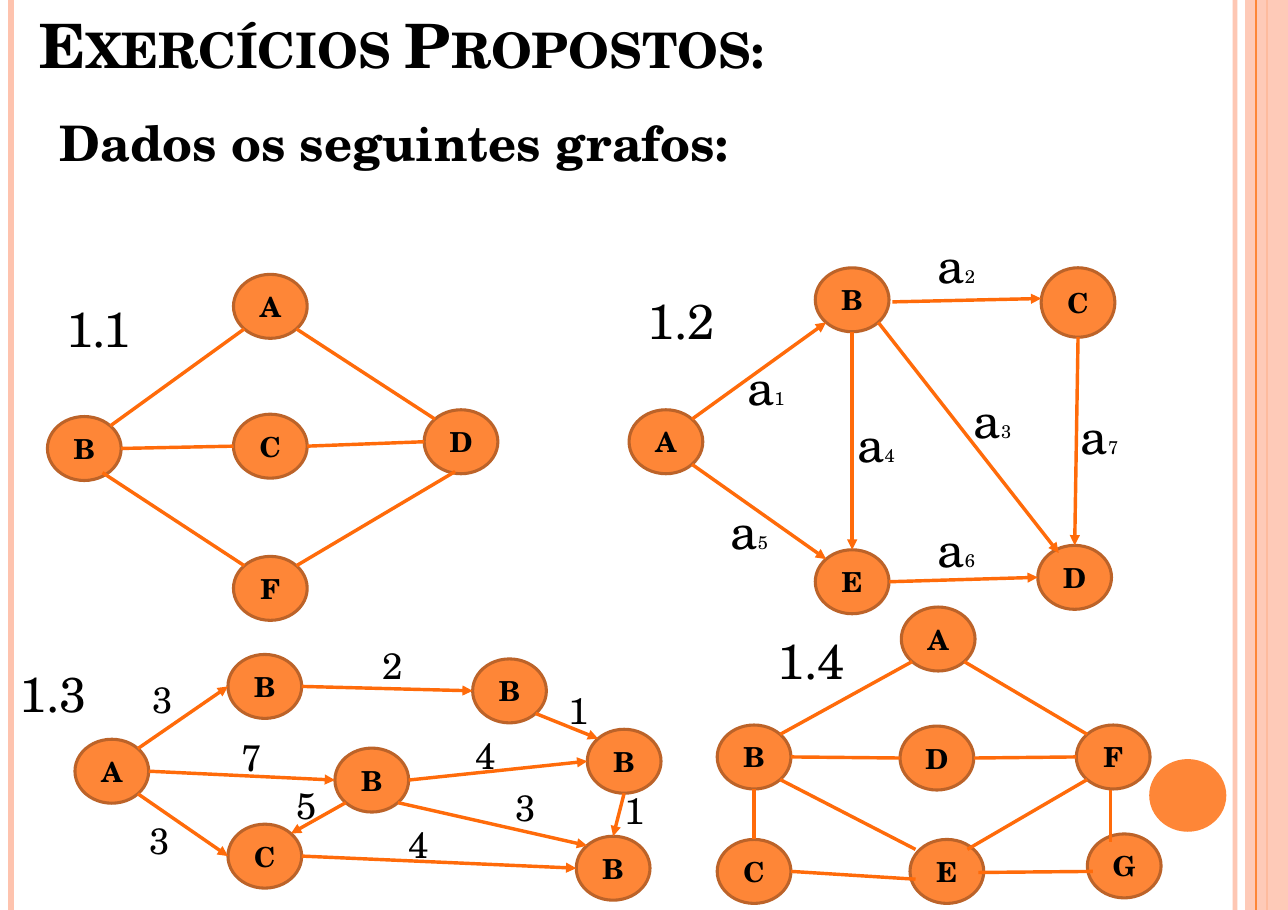
from math import sqrt

from lxml.etree import SubElement
from pptx import Presentation
from pptx.dml.color import RGBColor
from pptx.enum.shapes import MSO_CONNECTOR, MSO_SHAPE
from pptx.enum.text import MSO_ANCHOR, MSO_AUTO_SIZE, PP_ALIGN
from pptx.oxml.ns import qn
from pptx.util import Pt

FONT = "TeX Gyre Schola"
ORANGE, PEACH, RIM, EDGE, BLACK = "FE8637", "FEC3AE", "BC6329", "FF6B0A", "000000"
PAGE_WIDTH, PAGE_HEIGHT = 841.7, 594.7
NODE_WIDTH, NODE_HEIGHT = 48.2, 41.8
DIAGONAL = sqrt(0.5)
SIDES = {
    "n": (0, -1), "s": (0, 1), "w": (-1, 0), "e": (1, 0),
    "nw": (-DIAGONAL, -DIAGONAL), "ne": (DIAGONAL, -DIAGONAL),
    "sw": (-DIAGONAL, DIAGONAL), "se": (DIAGONAL, DIAGONAL),
}

GRAPHS = [
    {
        "heading": ("1.1", 43.2, 186.5),
        "directed": False,
        "nodes": {"A": (152.6, 179.3), "D": (277.2, 267.8), "B": (31, 272.2),
                  "C": (152.6, 270.7), "F": (152.6, 363.6)},
        "edges": [("A.sw", "B.ne"), ("A.se", "D.nw"), ("C.w", "B.e"),
                  ("F.nw", (67, 308.9)), ((297.4, 308.2), "F.ne"), ("D.w", "C.e")],
    },
    {
        "heading": ("1.2", 423.4, 181.4),
        "directed": True,
        "nodes": {"B": (532.8, 175), "D": (678.2, 356.4), "A": (411.1, 267.8),
                  "E": (532.8, 359.3), "C": (680.4, 175, 45.4)},
        "edges": [("A.ne", "B.sw"), ("A.se", "E.nw"), ("B.s", "E.n"),
                  ("B.se", (691.9, 361.4)), ("E.e", "D.w"), ("C.s", "D.n"),
                  ((583.2, 197.3), (680.4, 195.1))],
    },
    {
        "heading": ("1.3", 13, 424.8),
        "directed": True,
        "nodes": {"A": (49, 483.1), "C": (149, 538.6), "B1": (149, 427.7),
                  "B2": (218.9, 488.9), "B3": (308.9, 430.6),
                  "B4": (383.8, 476.6), "B5": (376.6, 546.5)},
        "edges": [("A.ne", "B1.w"), ("A.e", "B2.w"), ("A.se", "C.w"),
                  ("B1.e", "B3.w"), ("B2.e", "B4.w"), ("B2.se", "B5.nw"),
                  ("B2.sw", "C.ne"), ("C.e", "B5.w"), ("B3.se", "B4.nw"),
                  ("B4.s", "B5.n")],
    },
    {
        "heading": ("1.4", 508.3, 403.2),
        "directed": False,
        "nodes": {"A": (589, 396.7), "F": (703.4, 473.8), "B": (468.7, 473.8),
                  "D": (588.2, 474.5), "E": (594.7, 548.6), "C": (468.7, 548.6),
                  "G": (710.6, 545)},
        "edges": [("A.sw", "B.ne"), ("A.se", "F.nw"), ("D.w", "B.e"), ("F.w", "D.e"),
                  ((598.3, 555.1), "B.se"), ("F.sw", (632.2, 555.1)), ("C.n", "B.s"),
                  ((598.3, 574.6), "C.e"), ((714.2, 569.5), (639.4, 570.2)),
                  ((725.8, 550.1), (725.8, 516.2))],
    },
]
ARC_NAMES = [("1", 488.2, 224.6), ("2", 612.7, 144.7), ("3", 636.5, 246.2),
             ("4", 560.2, 261.4), ("5", 477.4, 318.2), ("6", 612.7, 330.5),
             ("7", 706.3, 256.3)]
WEIGHTS = [("3", 99.4, 433.4), ("3", 97.9, 525.6), ("7", 157.7, 471.6),
           ("4", 267.1, 528.5), ("3", 337, 504), ("4", 311, 470.2),
           ("2", 249.8, 411.1), ("1", 371.5, 440.6), ("1", 408.2, 506.2),
           ("5", 193.7, 502.6)]


def color(value):
    return RGBColor.from_string(value)


def set_values(target, values):
    for name, value in values.items():
        setattr(target, name, value)


def set_alpha(holder, percent):
    tone = holder.find(".//" + qn("a:srgbClr"))
    SubElement(tone, qn("a:alpha")).set("val", str(percent * 1000))


def add_span(para, text, size, bold=False):
    span = para.add_run()
    span.text = text
    set_values(span.font, {"name": FONT, "size": Pt(size), "bold": bold})
    span.font.color.rgb = color(BLACK)
    return span


def format_frame(frame, top_inset, anchor):
    set_values(frame, {
        "margin_left": 0, "margin_right": 0, "margin_bottom": 0,
        "margin_top": Pt(top_inset), "word_wrap": True,
        "auto_size": MSO_AUTO_SIZE.NONE, "vertical_anchor": anchor,
    })


def add_title(page, text):
    title = page.shapes.title
    set_values(title, {"left": Pt(25.9), "top": Pt(2.9),
                       "width": Pt(549.4), "height": Pt(49.7)})
    format_frame(title.text_frame, 0.7, MSO_ANCHOR.BOTTOM)
    para = title.text_frame.paragraphs[0]
    para.alignment = PP_ALIGN.LEFT
    span = add_span(para, text, 40, True)
    span.font._element.set("cap", "small")


def add_label(page, left, top, width, spans, bold=False):
    height = spans[0][1] * 1.2 + 9
    box = page.shapes.add_textbox(Pt(left), Pt(top), Pt(width), Pt(height))
    format_frame(box.text_frame, 8.7, MSO_ANCHOR.TOP)
    for text, size in spans:
        add_span(box.text_frame.paragraphs[0], text, size, bold)


def add_line(page, start, end, tone, weight, arrow=False, alpha=None):
    line = page.shapes.add_connector(
        MSO_CONNECTOR.STRAIGHT, *(Pt(value) for value in (*start, *end)))
    line.line.color.rgb = color(tone)
    line.line.width = Pt(weight)
    properties = line._element.spPr
    outline = properties.find(qn("a:ln"))
    if alpha:
        set_alpha(outline, alpha)
    if arrow:
        SubElement(outline, qn("a:tailEnd")).set("type", "triangle")
    SubElement(properties, qn("a:effectLst"))


def add_solid(page, kind, left, top, width, height, tone, rim=None):
    shape = page.shapes.add_shape(kind, Pt(left), Pt(top), Pt(width), Pt(height))
    shape.shadow.inherit = False
    shape.fill.solid()
    shape.fill.fore_color.rgb = color(tone)
    if rim:
        shape.line.color.rgb = color(rim)
        shape.line.width = Pt(2)
    else:
        shape.line.fill.background()
    return shape


def add_node(page, label, left, top, height=NODE_HEIGHT):
    node = add_solid(page, MSO_SHAPE.OVAL, left, top, NODE_WIDTH, height, ORANGE, RIM)
    node.text_frame.vertical_anchor = MSO_ANCHOR.MIDDLE
    para = node.text_frame.paragraphs[0]
    para.alignment = PP_ALIGN.CENTER
    add_span(para, label, 18, True)


def find_point(nodes, end):
    if isinstance(end, tuple):
        return end
    name, side = end.split(".")
    left, top, *rest = nodes[name]
    height = rest[0] if rest else NODE_HEIGHT
    across, down = SIDES[side]
    return left + NODE_WIDTH / 2 * (1 + across), top + height / 2 * (1 + down)


def add_graph(page, graph):
    text, left, top = graph["heading"]
    add_label(page, left, top, 58.3, [(text, 32)])
    nodes = graph["nodes"]
    for name, place in nodes.items():
        add_node(page, name[0], *place)
    for start, end in graph["edges"]:
        add_line(page, find_point(nodes, start), find_point(nodes, end),
                 EDGE, 2.25, graph["directed"])


def add_frame(page):
    def add_rule(left, tone, weight, alpha=None):
        add_line(page, (left, 0), (left, PAGE_HEIGHT), tone, weight, alpha=alpha)

    add_rule(807.1, PEACH, 3, 93)
    add_rule(7.2, PEACH, 4.5)
    add_rule(828, ORANGE, 1.5)
    band = add_solid(page, MSO_SHAPE.RECTANGLE, 813.6, 0, 28.1, PAGE_HEIGHT, PEACH)
    set_alpha(band._element.spPr, 87)
    add_rule(820.8, ORANGE, 0.75)
    add_solid(page, MSO_SHAPE.OVAL, 751, 496.1, 50.4, 47.5, ORANGE)


def main():
    deck = Presentation()
    set_values(deck, {"slide_width": Pt(PAGE_WIDTH), "slide_height": Pt(PAGE_HEIGHT)})
    page = deck.slides.add_slide(deck.slide_layouts[5])
    add_frame(page)
    add_title(page, "Exercícios Propostos:")
    add_label(page, 38.9, 64.8, 738, [("Dados os seguintes grafos:", 32)], True)
    for graph in GRAPHS:
        add_graph(page, graph)
    for number, left, top in ARC_NAMES:
        add_label(page, left, top, 35.3, [("a", 32), (number, 12)])
    for weight, left, top in WEIGHTS:
        add_label(page, left, top, 26, [(weight, 24)])
    deck.save("out.pptx")


if __name__ == "__main__":
    main()
